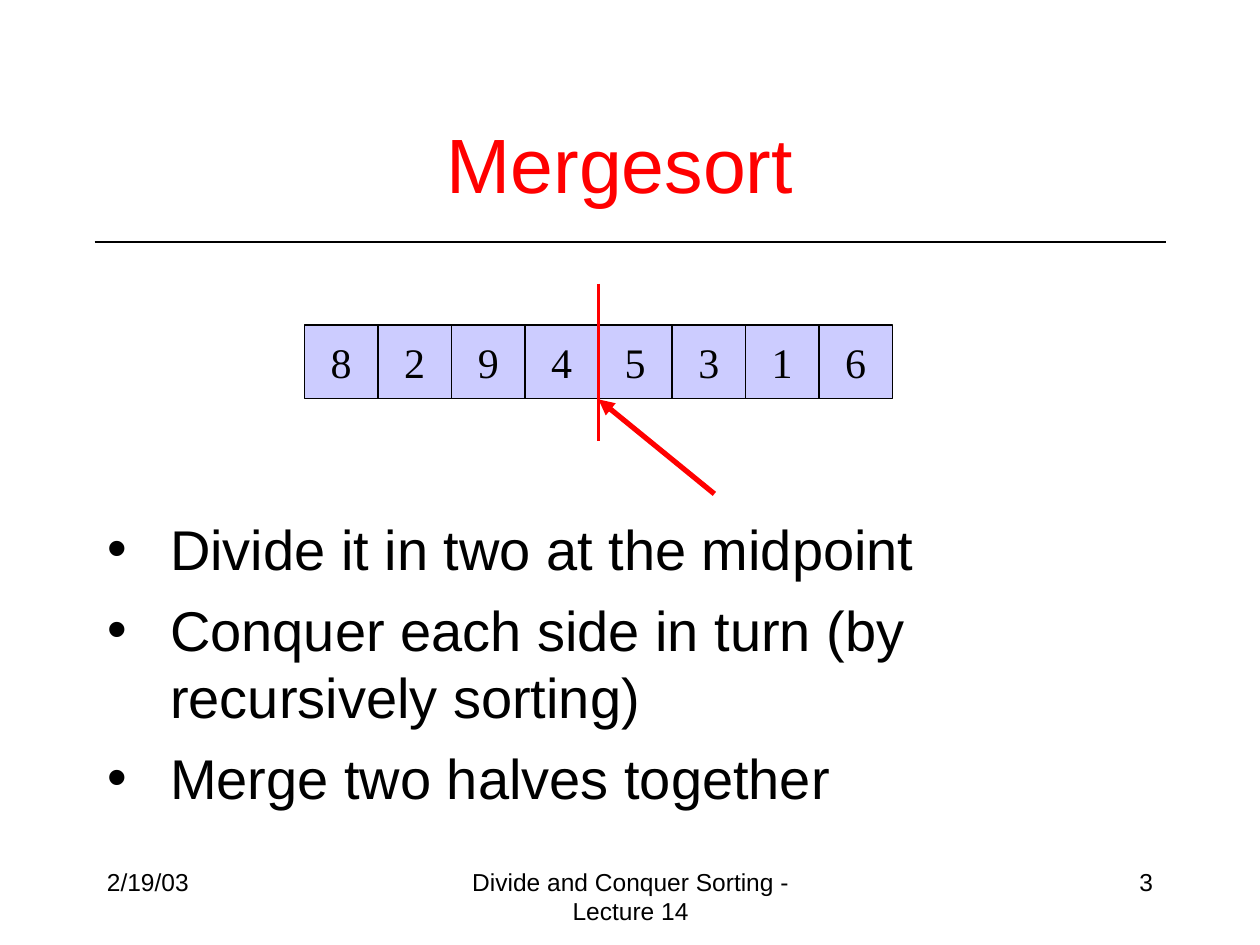
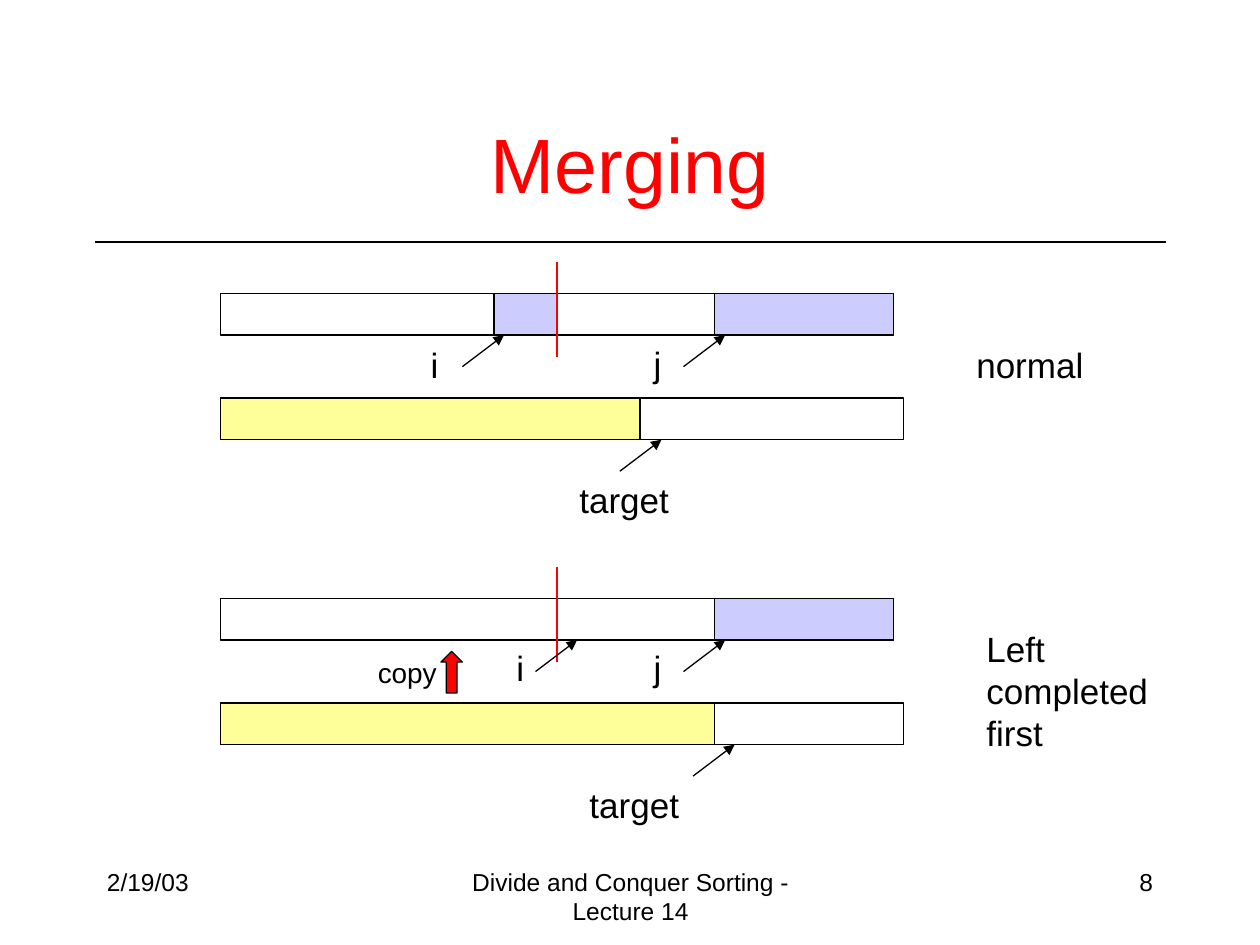
from dataclasses import dataclass
from typing import NamedTuple, Optional

from lxml.etree import SubElement
from pptx import Presentation
from pptx.dml.color import RGBColor
from pptx.enum.shapes import MSO_CONNECTOR, MSO_SHAPE
from pptx.enum.text import MSO_ANCHOR, MSO_AUTO_SIZE, PP_ALIGN
from pptx.oxml.ns import qn
from pptx.util import Inches, Pt


@dataclass(frozen=True)
class Theme:
    sans: str = "Arial"
    serif: str = "Times New Roman"
    black: RGBColor = RGBColor(0, 0, 0)
    red: RGBColor = RGBColor(255, 0, 0)
    lilac: RGBColor = RGBColor(0xCC, 0xCC, 0xFF)
    yellow: RGBColor = RGBColor(0xFF, 0xFF, 0x99)
    title: int = 44
    body: int = 32
    cell: int = 24
    label: int = 20
    small: int = 16
    foot: int = 14
    thin: float = 0.75
    split: float = 1.5
    middle: float = 2.25
    bold: float = 3


THEME = Theme()


class Box(NamedTuple):
    left: float
    top: float
    width: float
    height: float

    def lengths(self) -> list:
        return [Inches(side) for side in self]


class Foot(NamedTuple):
    text: str
    left: float
    width: float
    align: PP_ALIGN


class Label(NamedTuple):
    text: str
    left: float
    drop: float
    width: float
    height: float = 0.44
    size: int = THEME.label


@dataclass(frozen=True)
class Panel:
    """One merge step: two source halves above the target bar."""
    top: float
    rest: Optional[float]   # left edge of the unmerged part of the left half
    done: float             # width of the filled part of the target
    tip: float              # where the arrow of i points
    aim: float              # where the arrow of target points
    labels: tuple


def write(frame, text: str, *, size: int = THEME.label,
          color: RGBColor = THEME.black, font: str = THEME.sans,
          align: PP_ALIGN = PP_ALIGN.LEFT, anchor: MSO_ANCHOR = MSO_ANCHOR.TOP,
          wrap: bool = True, grow: bool = False, before: float = 0) -> None:
    frame.text = text
    frame.word_wrap = wrap
    frame.vertical_anchor = anchor
    frame.auto_size = (MSO_AUTO_SIZE.SHAPE_TO_FIT_TEXT if grow
                       else MSO_AUTO_SIZE.NONE)
    for para in frame.paragraphs:
        para.alignment = align
        para.space_before = Pt(before)
        for run in para.runs:
            run.font.size = Pt(size)
            run.font.name = font
            run.font.color.rgb = color


def place(shape, box: Box) -> None:
    shape.left, shape.top, shape.width, shape.height = box.lengths()


def block(slide, box: Box, fill: Optional[RGBColor] = None,
          kind: MSO_SHAPE = MSO_SHAPE.RECTANGLE):
    shape = slide.shapes.add_shape(kind, *box.lengths())
    shape.shadow.inherit = False
    if fill is None:
        shape.fill.background()
    else:
        shape.fill.solid()
        shape.fill.fore_color.rgb = fill
    shape.line.color.rgb = THEME.black
    shape.line.width = Pt(THEME.thin)
    return shape


def stroke(slide, start: tuple, end: tuple, color: RGBColor = THEME.black,
           width: float = THEME.thin, arrow: bool = False):
    line = slide.shapes.add_connector(
        MSO_CONNECTOR.STRAIGHT, *(Inches(n) for n in start + end))
    line.line.color.rgb = color
    line.line.width = Pt(width)
    props = line._element.spPr
    if arrow:
        SubElement(props.find(qn("a:ln")), qn("a:tailEnd"), type="triangle")
    SubElement(props, qn("a:effectLst"))
    return line


def note(slide, box: Box, text: str, **style) -> None:
    write(slide.shapes.add_textbox(*box.lengths()).text_frame, text, **style)


def start(deck, layout: int, title: str, left: float, number: int):
    """Add a slide with its title, rule and footers."""
    slide = deck.slides.add_slide(deck.slide_layouts[layout])
    place(slide.shapes.title, Box(left, 0.67, 8.5, 1.25))
    write(slide.shapes.title.text_frame, title, size=THEME.title,
          color=THEME.red, align=PP_ALIGN.CENTER, anchor=MSO_ANCHOR.MIDDLE)
    stroke(slide, (0.75, 1.92), (9.25, 1.92))
    feet = (
        Foot("2/19/03", 0.75, 2.08, PP_ALIGN.LEFT),
        Foot("Divide and Conquer Sorting - Lecture 14", 3.42, 3.17,
             PP_ALIGN.CENTER),
        Foot(str(number), 7.17, 2.08, PP_ALIGN.RIGHT),
    )
    for foot in feet:
        note(slide, Box(foot.left, 6.83, foot.width, 0.5), foot.text,
             size=THEME.foot, align=foot.align)
    return slide


def bullets(shape, box: Box, items: tuple) -> None:
    place(shape, box)
    write(shape.text_frame, "\n".join(items), size=THEME.body, before=8)
    for para in shape.text_frame.paragraphs:
        props = para._p.get_or_add_pPr()
        props.set("marL", str(Inches(0.5)))
        props.set("indent", str(Inches(-0.5)))
        SubElement(props, qn("a:buChar"), char="•")


def sort(deck) -> None:
    slide = start(deck, 1, "Mergesort", 0.67, 3)
    bullets(slide.placeholders[1], Box(0.75, 4.03, 8.5, 2.64), (
        "Divide it in two at the midpoint",
        "Conquer each side in turn (by recursively sorting)",
        "Merge two halves together",
    ))
    stroke(slide, (5.67, 3.92), (4.75, 3.17), THEME.red, THEME.bold, True)
    side = 7 / 12
    for index, digit in enumerate("82945316"):
        cell = block(slide, Box(4.75 + (index - 4) * side, 2.58, side, side),
                     THEME.lilac)
        write(cell.text_frame, digit, size=THEME.cell, font=THEME.serif,
              align=PP_ALIGN.CENTER, anchor=MSO_ANCHOR.MIDDLE, wrap=False)
    stroke(slide, (4.75, 2.25), (4.75, 3.5), THEME.red, THEME.middle)


def point(slide, tip: float, level: float):
    """Draw an arrow that rises to the right and ends at the tip."""
    return stroke(slide, (tip - 0.33, level + 0.25), (tip, level), arrow=True)


def draw(slide, panel: Panel) -> None:
    left, mid, half, tall = 1.75, 4.42, 2.67, 0.33
    top = panel.top
    goal = top + 0.83
    block(slide, Box(left, top, half, tall))
    right = block(slide, Box(mid, top, half, tall))
    block(slide, Box(left, goal, 5.42, tall))
    block(slide, Box(left, goal, panel.done, tall), THEME.yellow)
    if panel.rest is not None:
        block(slide, Box(panel.rest, top, mid - panel.rest, tall), THEME.lilac)
    block(slide, Box(5.67, top, 1.42, tall), THEME.lilac)
    stroke(slide, (mid, top - 0.25), (mid, top + 0.5), THEME.red, THEME.split)
    point(slide, panel.tip, top + tall)
    point(slide, panel.aim, goal + tall)
    point(slide, mid + half / 2, top + tall).end_connect(right, 2)
    for label in panel.labels:
        note(slide, Box(label.left, top + label.drop, label.width,
                        label.height),
             label.text, size=label.size, wrap=False, grow=True)


def merge(deck) -> None:
    slide = start(deck, 5, "Merging", 0.75, 8)
    panels = (
        Panel(2.33, 3.92, 3.33, 4, 5.25, (
            Label("i", 3.32, 0.35, 0.26),
            Label("j", 5.09, 0.34, 0.26),
            Label("target", 4.5, 1.42, 0.91),
            Label("normal", 7.65, 0.35, 1.05))),
        Panel(4.75, None, 3.92, 4.58, 5.83, (
            Label("i", 4, 0.33, 0.26),
            Label("j", 5.09, 0.33, 0.26),
            Label("target", 4.58, 1.42, 0.91),
            Label("Left completed\nfirst", 7.73, 0.18, 2.02, 0.77),
            Label("copy", 2.9, 0.4, 0.67, 0.37, THEME.small))),
    )
    for panel in panels:
        draw(slide, panel)
    block(slide, Box(3.5, 5.17, 0.17, 0.33), THEME.red, MSO_SHAPE.UP_ARROW)


def main() -> None:
    deck = Presentation()
    deck.slide_width = Inches(10)
    deck.slide_height = Inches(7.5)
    sort(deck)
    merge(deck)
    deck.save("out.pptx")


if __name__ == "__main__":
    main()
